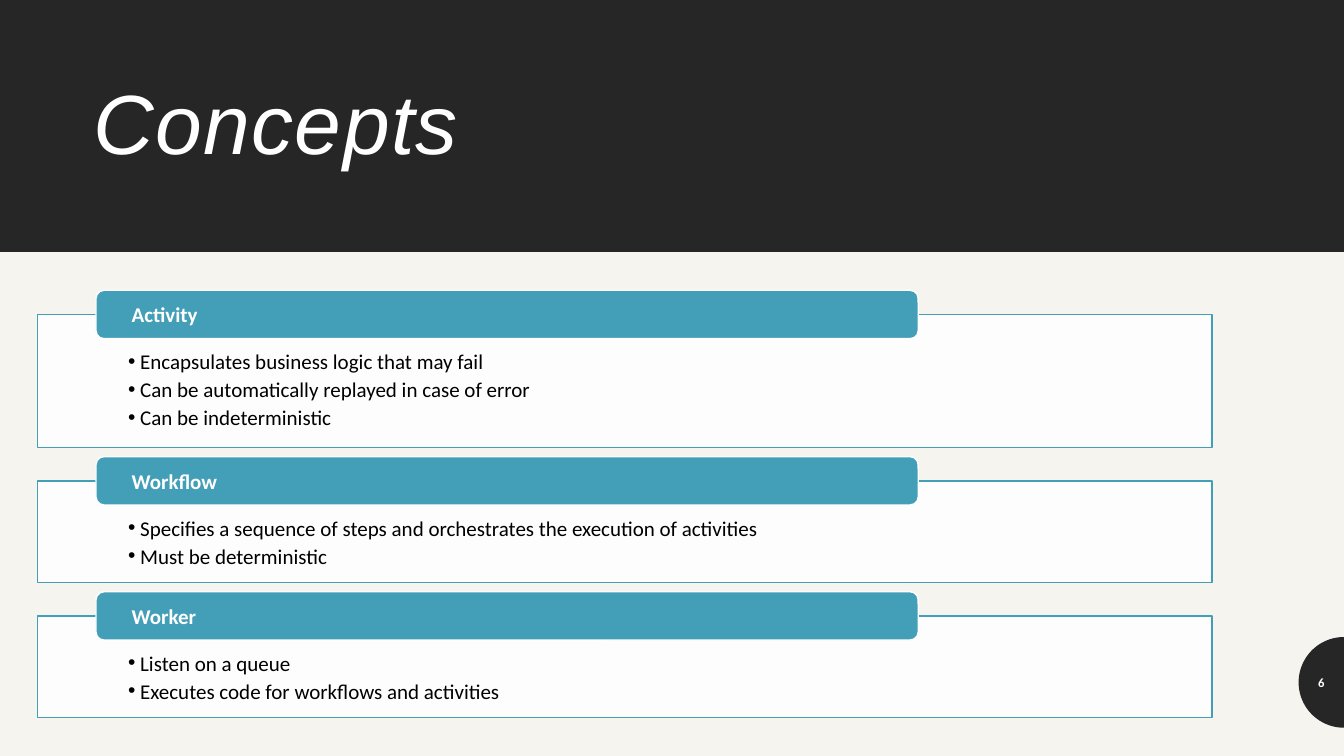
from math import cos, pi, sin

from lxml import etree
from pptx import Presentation
from pptx.dml.color import RGBColor
from pptx.enum.shapes import MSO_SHAPE
from pptx.enum.text import MSO_ANCHOR, PP_ALIGN
from pptx.oxml.ns import qn
from pptx.util import Inches, Pt

RECTANGLE, ROUNDED = MSO_SHAPE.RECTANGLE, MSO_SHAPE.ROUNDED_RECTANGLE
TOP, MIDDLE = MSO_ANCHOR.TOP, MSO_ANCHOR.MIDDLE
LEFT, CENTER = PP_ALIGN.LEFT, PP_ALIGN.CENTER
CREAM = RGBColor(0xF6, 0xF4, 0xEF)
CHARCOAL = RGBColor(0x26, 0x26, 0x26)
TEAL = RGBColor(0x43, 0x9E, 0xB7)
WHITE = RGBColor(0xFF, 0xFF, 0xFF)
BLACK = RGBColor(0, 0, 0)

WIDTH, HEIGHT = 13.33, 7.5
BANNER_HEIGHT = HEIGHT / 3
CARD_LEFT, CARD_TOP, CARD_WIDTH, CARD_GAP = 0.37, 3.12, 11.65, 0.33
CARD_PADDING, BULLET_HEIGHT = 0.39, 0.31
LABEL_HEIGHT = 0.48
BADGE_RADIUS, BADGE_MIDDLE, BADGE_STEPS = 0.45, 6.77, 48

TITLE_FONT = {"name": "Arial", "size": Pt(60), "italic": True}
BODY_FONT = {"name": "Calibri", "size": Pt(15), "bold": False}
LABEL_FONT = {"name": "Calibri", "size": Pt(15), "bold": True}
NUMBER_FONT = {"name": "Calibri", "size": Pt(9), "bold": True}

CONCEPTS = [
    ("Activity", ["Encapsulates business logic that may fail",
                  "Can be automatically replayed in case of error",
                  "Can be indeterministic"]),
    ("Workflow", ["Specifies a sequence of steps and orchestrates the execution of activities",
                  "Must be deterministic"]),
    ("Worker", ["Listen on a queue",
                "Executes code for workflows and activities"]),
]


def apply(target, values):
    """Set each named attribute on the target."""
    for name, value in values.items():
        setattr(target, name, value)


def paint(shape, fill, line=None):
    """Give a shape a flat fill and an optional thin outline."""
    shape.shadow.inherit = False
    shape.fill.solid()
    shape.fill.fore_color.rgb = fill
    if line is None:
        shape.line.fill.background()
    else:
        shape.line.color.rgb = line
        shape.line.width = Pt(1)


def add_block(page, kind, box, fill, line=None):
    """Add a painted preset shape in a box given in inches."""
    shape = page.shapes.add_shape(kind, *map(Inches, box))
    paint(shape, fill, line)
    return shape


def write(shape, lines, font, color, insets, anchor=MIDDLE, align=LEFT):
    """Write one paragraph per line and return the paragraphs."""
    frame = shape.text_frame
    left, top, right, bottom = map(Inches, insets)
    apply(frame, {"word_wrap": True, "vertical_anchor": anchor, "margin_left": left,
                  "margin_top": top, "margin_right": right, "margin_bottom": bottom})
    frame.text = "\n".join(lines)
    for para in frame.paragraphs:
        para.alignment = align
        for span in para.runs:
            apply(span.font, font)
            span.font.color.rgb = color
    return frame.paragraphs


def add_bullet(para):
    """Turn a paragraph into a bullet with a hanging indent."""
    para.space_after = Pt(2)
    properties = para._p.get_or_add_pPr()
    properties.set("marL", str(Inches(0.12)))
    properties.set("indent", str(-Inches(0.12)))
    etree.SubElement(properties, qn("a:buFont"), typeface="Arial")
    etree.SubElement(properties, qn("a:buChar"), char="•")


def add_banner(page, box, title):
    """Draw the dark banner with the slide title."""
    left, top, width, height = box
    add_block(page, RECTANGLE, box, CHARCOAL)
    title_box = page.shapes.add_textbox(*map(Inches, (left + 0.83, top + 0.41, width - 1.66, 1.7)))
    para = write(title_box, [title], TITLE_FONT, WHITE, (0.1, 0.05, 0.1, 0.05))[0]
    para.line_spacing = 0.9
    para.runs[0].font._element.set("spc", "100")


def add_card(page, box, label, bullets):
    """Draw a bulleted card with its label straddling the top edge."""
    left, top, width, height = box
    card = add_block(page, RECTANGLE, box, WHITE, TEAL)
    fill_color = card._element.spPr.find(qn("a:solidFill"))[0]
    etree.SubElement(fill_color, qn("a:alpha"), val="90000")
    for para in write(card, bullets, BODY_FONT, BLACK, (0.9, 0.34, 0.9, 0.12), TOP):
        add_bullet(para)
    label_box = (left + width * 0.05, top - LABEL_HEIGHT / 2, width * 0.7, LABEL_HEIGHT)
    tab = add_block(page, ROUNDED, label_box, TEAL, WHITE)
    write(tab, [label], LABEL_FONT, WHITE, (0.33, 0, 0.33, 0))


def add_badge(page, right, middle, radius, number):
    """Draw the half disc at the slide edge with the page number."""
    angles = [pi * step / BADGE_STEPS for step in range(BADGE_STEPS + 1)]
    points = [(Inches(right - radius * sin(angle)), Inches(middle - radius * cos(angle)))
              for angle in angles]
    builder = page.shapes.build_freeform(*points[0])
    builder.add_line_segments(points[1:], close=True)
    paint(builder.convert_to_shape(), CHARCOAL)
    number_box = page.shapes.add_textbox(*map(Inches, (right - radius, middle - 0.2, radius, 0.4)))
    write(number_box, [number], NUMBER_FONT, WHITE, (0.05,) * 4, align=CENTER)


def add_concepts_slide(deck):
    """Build the slide with its banner, stacked cards and badge."""
    page = deck.slides.add_slide(deck.slide_layouts[6])
    page.background.fill.solid()
    page.background.fill.fore_color.rgb = CREAM
    add_banner(page, (0, 0, WIDTH, BANNER_HEIGHT), "Concepts")
    add_badge(page, WIDTH, BADGE_MIDDLE, BADGE_RADIUS, "6")
    top = CARD_TOP
    for label, bullets in CONCEPTS:
        height = CARD_PADDING + BULLET_HEIGHT * len(bullets)
        add_card(page, (CARD_LEFT, top, CARD_WIDTH, height), label, bullets)
        top += height + CARD_GAP


def main():
    """Create the deck and save it."""
    deck = Presentation()
    apply(deck, {"slide_width": Inches(WIDTH), "slide_height": Inches(HEIGHT)})
    add_concepts_slide(deck)
    deck.save("out.pptx")


if __name__ == "__main__":
    main()
